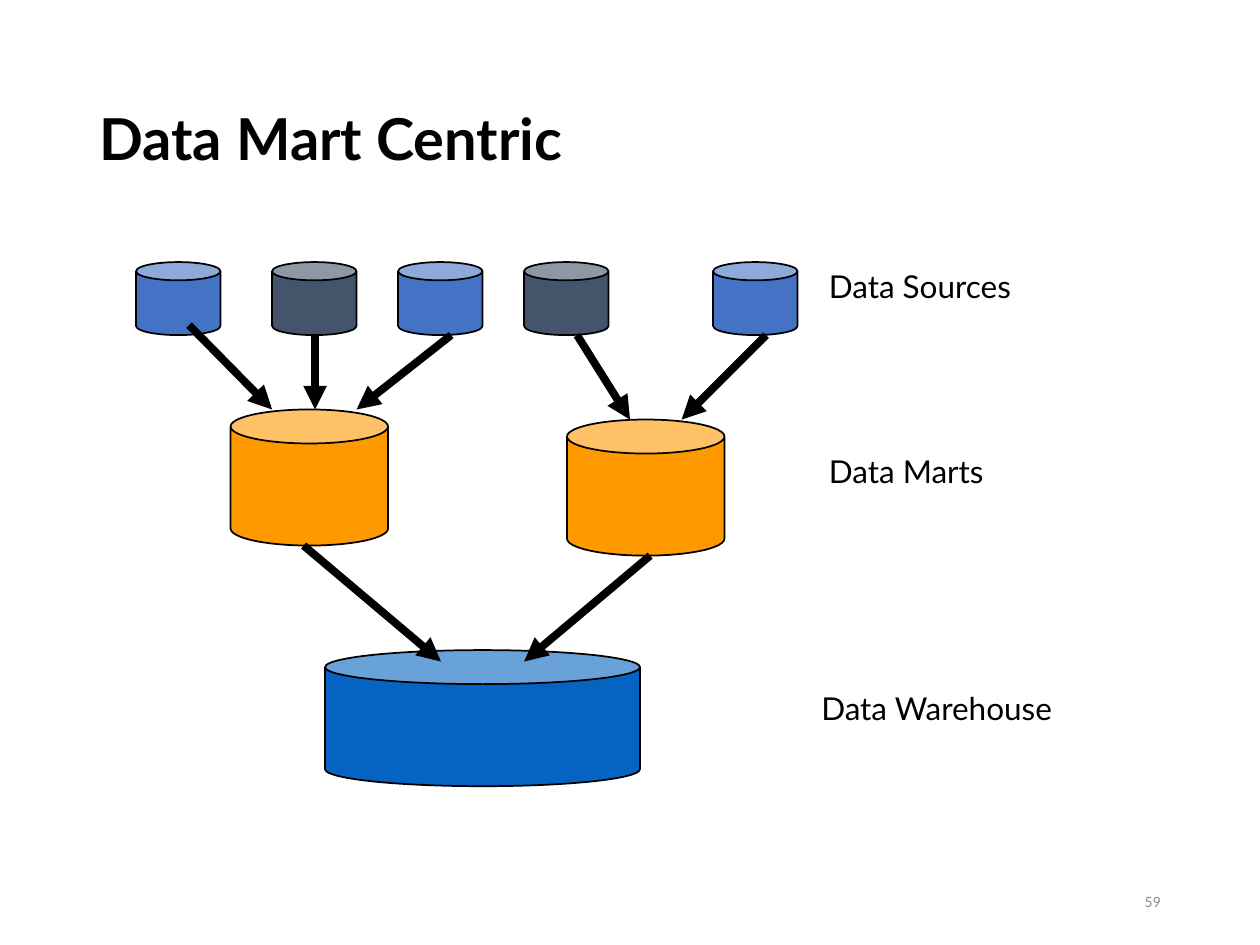
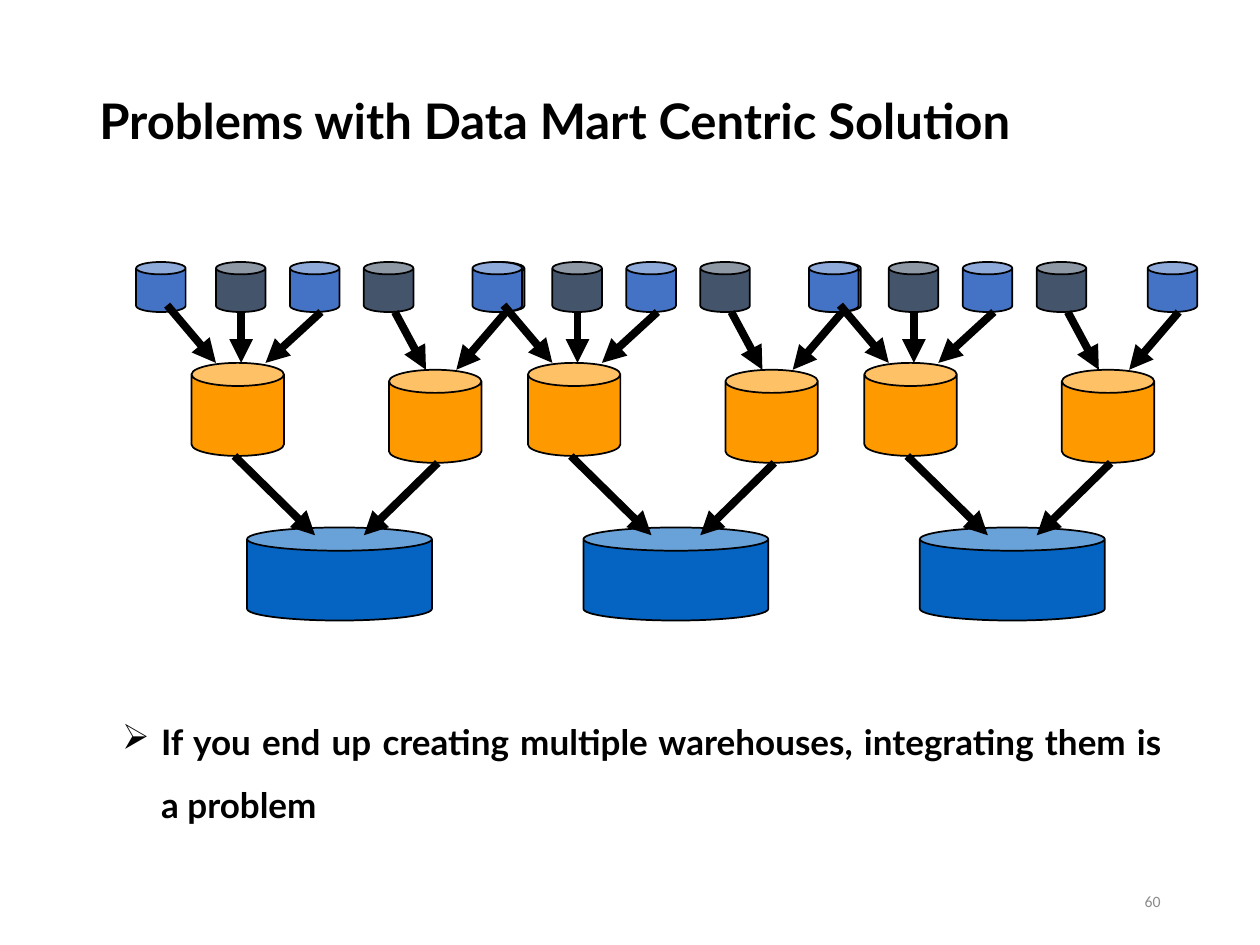
from typing import NamedTuple

import pptx
import pptx.dml.color
import pptx.enum.shapes
import pptx.enum.text
import pptx.oxml
import pptx.oxml.ns
import pptx.util
from pptx.util import Inches

RGBColor = pptx.dml.color.RGBColor
Align = pptx.enum.text.PP_ALIGN
Anchor = pptx.enum.text.MSO_ANCHOR
AutoSize = pptx.enum.text.MSO_AUTO_SIZE

BLACK = RGBColor(0x00, 0x00, 0x00)
GRAY = RGBColor(0x8C, 0x8C, 0x8C)
BLUE = RGBColor(0x44, 0x72, 0xC4)
SLATE = RGBColor(0x44, 0x54, 0x6A)
ORANGE = RGBColor(0xFF, 0x99, 0x00)
DEEP_BLUE = RGBColor(0x05, 0x63, 0xC1)
TEXT_FONT = "Lato"
NUMBER_FONT = "Calibri"
NS = 'xmlns:a="http://schemas.openxmlformats.org/drawingml/2006/main"'


class Can(NamedTuple):
    x: float
    y: float
    w: float
    h: float
    color: RGBColor


class Arrow(NamedTuple):
    x1: float
    y1: float
    x2: float
    y2: float


class Label(NamedTuple):
    text: str
    x: float
    y: float
    w: float


class Frame(NamedTuple):
    x: float
    y: float
    x_scale: float = 1
    y_scale: float = 1

    def at_x(self, value: float) -> int:
        return Inches(self.x + value * self.x_scale)

    def at_y(self, value: float) -> int:
        return Inches(self.y + value * self.y_scale)


SOURCES = [
    Can(x, 0, 0.67, 0.58, color)
    for x, color in [(0, BLUE), (1.08, SLATE), (2.08, BLUE), (3.08, SLATE), (4.58, BLUE)]
]
MARTS = [Can(0.75, 1.17, 1.25, 1.08, ORANGE), Can(3.42, 1.25, 1.25, 1.08, ORANGE)]
WAREHOUSE = Can(1.5, 3.08, 2.5, 1.08, DEEP_BLUE)
ARROWS = [
    Arrow(0.42, 0.5, 1.08, 1.17),
    Arrow(1.42, 0.58, 1.42, 1.17),
    Arrow(2.5, 0.58, 1.75, 1.17),
    Arrow(5, 0.58, 4.33, 1.25),
    Arrow(3.5, 0.58, 3.92, 1.25),
    Arrow(1.33, 2.25, 2.42, 3.17),
    Arrow(4.08, 2.33, 3.08, 3.17),
]
LABELS = [
    Label("Data Sources", 6.48, 2.07, 2.14),
    Label("Data Marts", 6.48, 3.54, 1.81),
    Label("Data Warehouse", 6.42, 5.42, 2.64),
]
LEFT, TOP = 1.08, 2.08
SMALL_COUNT = 3
SMALL_PITCH = 2.67
SMALL_X_SCALE = 0.587
SMALL_Y_SCALE = 0.684


def add_can(shapes, can: Can, frame: Frame) -> None:
    sp = shapes.add_shape(
        pptx.enum.shapes.MSO_SHAPE.CAN,
        frame.at_x(can.x),
        frame.at_y(can.y),
        Inches(can.w * frame.x_scale),
        Inches(can.h * frame.y_scale),
    )
    sp.shadow.inherit = False
    sp.fill.solid()
    sp.fill.fore_color.rgb = can.color
    sp.line.color.rgb = BLACK
    sp.line.width = pptx.util.Pt(1)


def add_arrow(shapes, arrow: Arrow, frame: Frame) -> None:
    line = shapes.add_connector(
        pptx.enum.shapes.MSO_CONNECTOR.STRAIGHT,
        frame.at_x(arrow.x1),
        frame.at_y(arrow.y1),
        frame.at_x(arrow.x2),
        frame.at_y(arrow.y2),
    )
    line.line.color.rgb = BLACK
    line.line.width = pptx.util.Pt(4.5)
    properties = line._element.spPr
    ln = properties.find(pptx.oxml.ns.qn("a:ln"))
    ln.append(pptx.oxml.parse_xml(f'<a:tailEnd {NS} type="triangle"/>'))
    properties.append(pptx.oxml.parse_xml(f"<a:effectLst {NS}/>"))


def add_diagram(shapes, frame: Frame) -> None:
    for can in [*SOURCES, *MARTS, WAREHOUSE]:
        add_can(shapes, can, frame)
    for arrow in ARROWS:
        add_arrow(shapes, arrow, frame)


def add_text(
    s,
    text: str,
    x: float,
    y: float,
    w: float,
    h: float,
    size: float,
    bold: bool = False,
    color: RGBColor = BLACK,
    font: str = TEXT_FONT,
    anchor: Anchor = Anchor.TOP,
    align: Align = Align.LEFT,
    spacing: float = 1.0,
    wrap: bool = True,
    grow: bool = False,
    bullet: str = "",
) -> None:
    tf = s.shapes.add_textbox(Inches(x), Inches(y), Inches(w), Inches(h)).text_frame
    tf.word_wrap = wrap
    tf.auto_size = AutoSize.SHAPE_TO_FIT_TEXT if grow else AutoSize.NONE
    tf.vertical_anchor = anchor
    tf.text = text
    p = tf.paragraphs[0]
    p.alignment = align
    p.line_spacing = spacing
    if bullet:
        properties = p._p.get_or_add_pPr()
        indent = Inches(0.31)
        properties.set("marL", str(indent))
        properties.set("indent", str(-indent))
        properties.append(pptx.oxml.parse_xml(f'<a:buChar {NS} char="{bullet}"/>'))
    r = p.runs[0]
    r.font.size = pptx.util.Pt(size)
    r.font.bold = bold
    r.font.name = font
    r.font.color.rgb = color


def add_slide(prs, title: str, number: int, w: float, h: float, size: float):
    s = prs.slides.add_slide(prs.slide_layouts[6])
    add_text(s, title, 0.69, 0.4, w, h, size, bold=True, anchor=Anchor.MIDDLE, spacing=0.9)
    add_text(s, str(number), 7.06, 6.95, 2.25, 0.4, 9, color=GRAY, font=NUMBER_FONT,
             anchor=Anchor.MIDDLE, align=Align.RIGHT)
    return s


def build_centric(prs) -> None:
    s = add_slide(prs, "Data Mart Centric", 59, 8.62, 1.45, 33)
    add_diagram(s.shapes, Frame(LEFT, TOP))
    for label in LABELS:
        add_text(s, label.text, label.x, label.y, label.w, 0.5, 18, wrap=False, grow=True)


def build_problems(prs) -> None:
    s = add_slide(prs, "Problems with Data Mart Centric Solution", 60, 8.81, 1.17, 28)
    for i in range(SMALL_COUNT):
        frame = Frame(LEFT + i * SMALL_PITCH, TOP, SMALL_X_SCALE, SMALL_Y_SCALE)
        add_diagram(s.shapes.add_group_shape().shapes, frame)
    add_text(
        s,
        "If you end up creating multiple warehouses, integrating them is a problem",
        0.87, 5.5, 8.45, 1.06, 20,
        bold=True, align=Align.JUSTIFY, spacing=1.5, grow=True, bullet="➢",
    )


def main() -> None:
    prs = pptx.Presentation()
    prs.slide_width = Inches(10)
    prs.slide_height = Inches(7.5)
    build_centric(prs)
    build_problems(prs)
    prs.save("out.pptx")


if __name__ == "__main__":
    main()
